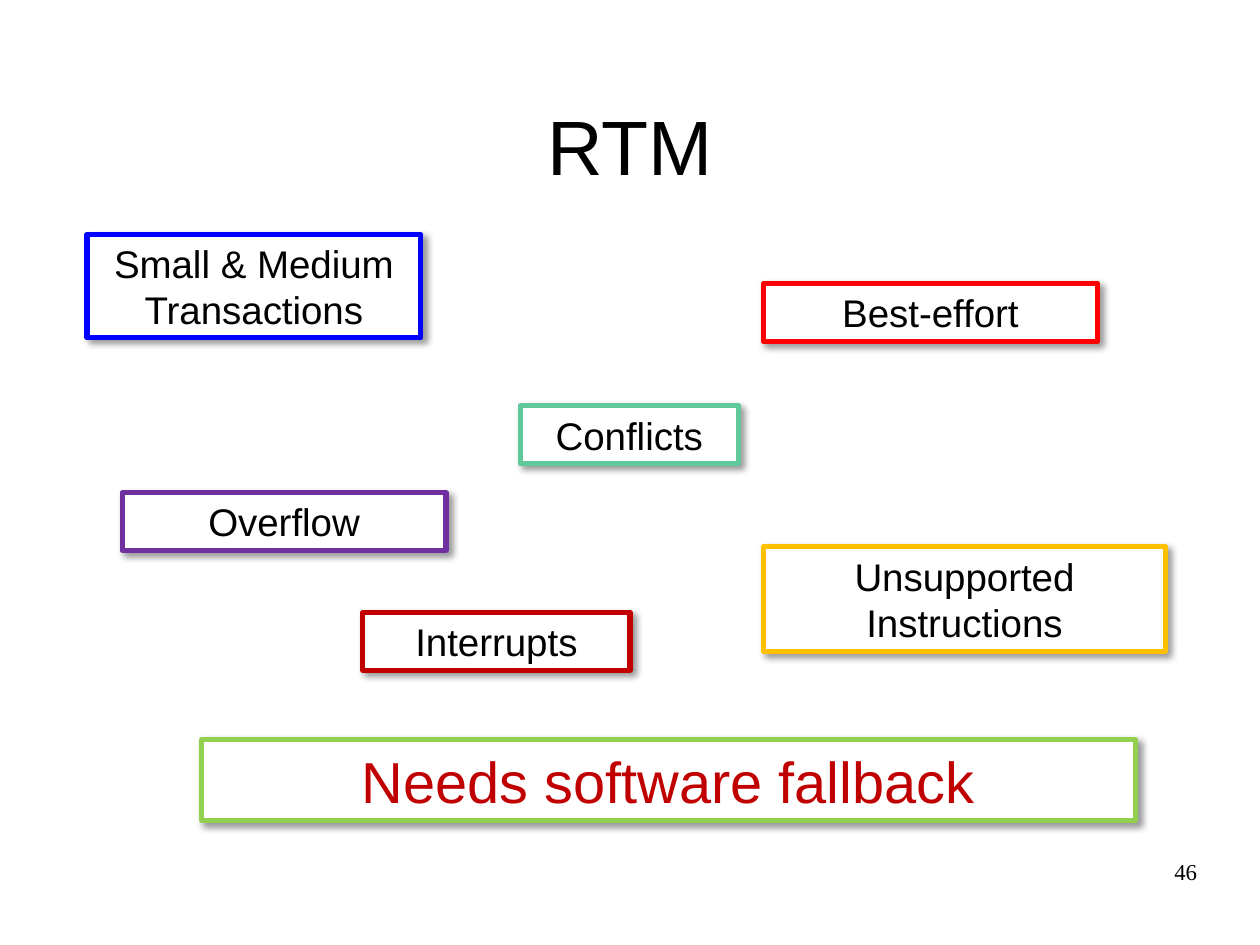
from lxml import etree
from pptx import Presentation
from pptx.dml.color import RGBColor
from pptx.enum.shapes import MSO_SHAPE
from pptx.enum.text import MSO_ANCHOR, MSO_AUTO_SIZE, PP_ALIGN
from pptx.oxml.ns import qn
from pptx.util import Inches, Pt

RECTANGLE = MSO_SHAPE.RECTANGLE
CENTER, RIGHT = PP_ALIGN.CENTER, PP_ALIGN.RIGHT
TOP, MIDDLE = MSO_ANCHOR.TOP, MSO_ANCHOR.MIDDLE
GROW = MSO_AUTO_SIZE.SHAPE_TO_FIT_TEXT

COLORS = {
    "black": "000000", "white": "FFFFFF", "blue": "0000FF", "red": "FF0000",
    "purple": "7030A0", "amber": "FFC000", "dark_red": "C00000",
    "mint": "60C99C", "green": "92D050",
}


def rgb(name):
    return RGBColor.from_string(COLORS[name])


def write_text(frame, text, *, size, font="Arial", color="black", align=CENTER,
               anchor=TOP, margins=(0.09, 0.05), spacing=None):
    frame.word_wrap = True
    frame.vertical_anchor = anchor
    frame.margin_left = frame.margin_right = Inches(margins[0])
    frame.margin_top = frame.margin_bottom = Inches(margins[1])
    para = frame.paragraphs[0]
    para.alignment = align
    if spacing:
        para.line_spacing = spacing
    span = para.add_run()
    span.text = text
    span.font.name = font
    span.font.size = Pt(size)
    span.font.color.rgb = rgb(color)


class SlideBuilder:
    def __init__(self, deck):
        self.page = deck.slides.add_slide(deck.slide_layouts[6])
        self.line_width = Pt(3)

    def label(self, text, *place, **text_format):
        box = self.page.shapes.add_textbox(*map(Inches, place))
        write_text(box.text_frame, text, **text_format)

    def card(self, text, border, *place, size=22, color="black"):
        box = self.page.shapes.add_shape(RECTANGLE, *map(Inches, place))
        box.fill.solid()
        box.fill.fore_color.rgb = rgb("white")
        box.line.color.rgb = rgb(border)
        box.line.width = self.line_width
        etree.SubElement(box.line._ln, qn("a:round"))
        self.add_shadow(box)
        write_text(box.text_frame, text, size=size, color=color, anchor=MIDDLE)
        box.text_frame.auto_size = GROW

    def add_shadow(self, box):
        box.shadow.inherit = False
        effects = box._element.spPr.find(qn("a:effectLst"))
        shadow = etree.SubElement(
            effects, qn("a:outerShdw"), blurRad=str(Pt(4)), dist=str(Pt(3)),
            dir=str(45 * 60000), algn="tl", rotWithShape="0")
        tint = etree.SubElement(shadow, qn("a:srgbClr"), val=COLORS["black"])
        etree.SubElement(tint, qn("a:alpha"), val="40000")


def main():
    deck = Presentation()
    deck.slide_width, deck.slide_height = Inches(10), Inches(7.5)
    slide = SlideBuilder(deck)

    # Title
    slide.label("RTM", 0.75, 0.67, 8.5, 1.25, size=44, margins=(0.1, 0.11))

    # Properties and abort causes
    cards = [
        ("Small & Medium Transactions", "blue", 0.69, 1.86, 2.65, 0.82),
        ("Best-effort", "red", 6.06, 2.25, 2.65, 0.46),
        ("Conflicts", "mint", 4.13, 3.22, 1.73, 0.46),
        ("Overflow", "purple", 0.97, 3.91, 2.57, 0.46),
        ("Unsupported Instructions", "amber", 6.06, 4.34, 3.19, 0.83),
        ("Interrupts", "dark_red", 2.88, 4.86, 2.12, 0.46),
    ]
    for card in cards:
        slide.card(*card)

    # Conclusion
    slide.card("Needs software fallback", "green", 1.6, 5.87, 7.41, 0.64,
               size=33, color="dark_red")

    # Page number
    slide.label("46", 7.17, 6.83, 2.33, 0.52, size=13, font="Times New Roman",
                align=RIGHT, margins=(0, 0), spacing=0.93)

    deck.save("out.pptx")


if __name__ == "__main__":
    main()
